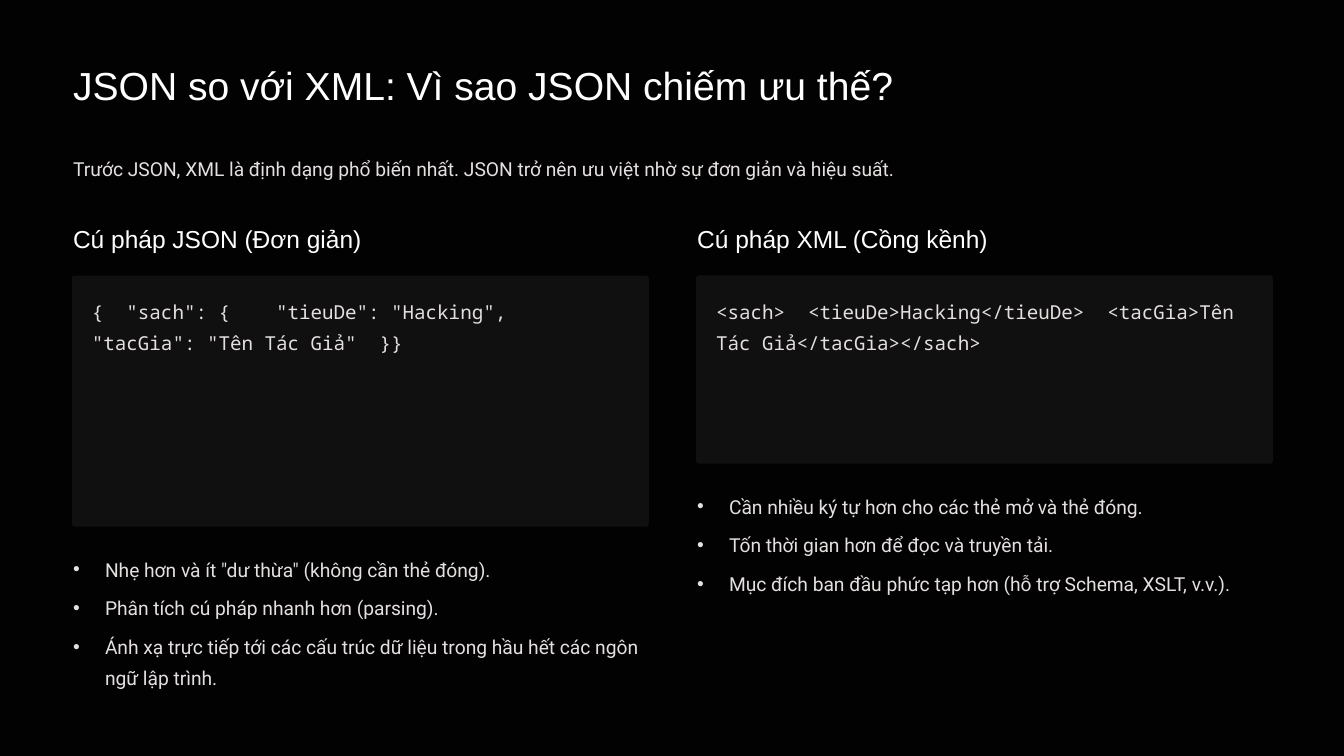
from dataclasses import dataclass

from lxml.etree import SubElement
from pptx import Presentation
from pptx.dml.color import RGBColor
from pptx.enum.shapes import MSO_SHAPE
from pptx.enum.text import MSO_ANCHOR, MSO_AUTO_SIZE, PP_ALIGN
from pptx.oxml.ns import qn
from pptx.util import Inches, Pt

COLORS = {"background": "020202", "panel": "101010", "heading": "FFFFFF", "text": "E5E0DF"}

# Grid of 16 columns by 9 rows
SLIDE_WIDTH, SLIDE_HEIGHT = Inches(16), Inches(9)
COLUMN, ROW = SLIDE_WIDTH / 16, SLIDE_HEIGHT / 9
LEFT, FULL_WIDTH = 0.87, 14.26
TOPIC_WIDTH, TOPIC_STEP = 6.84, 7.43
PANEL_TOP, PANEL_OUTSET, CORNER = 3.28, 0.015, 0.036
BULLET_INDENT, BULLET_GAP = 0.38, 0.27


@dataclass(frozen=True)
class TextStyle:
    font: str
    size: float
    color: str
    line: float


@dataclass(frozen=True)
class Topic:
    heading: str
    code: str
    panel_rows: float
    bullet_rows: float
    bullets: tuple[str, ...]


TITLE = TextStyle("Arial", 33.5, "heading", 42)
HEADING = TextStyle("Arial", 21, "heading", 26.5)
BODY = TextStyle("Roboto", 16.5, "text", 27)
CODE = TextStyle("Noto Sans Mono", 16.5, "text", 27)

TOPICS = (
    Topic(
        "Cú pháp JSON (Đơn giản)",
        '{  "sach": {    "tieuDe": "Hacking",    "tacGia": "Tên Tác Giả"  }}',
        2.99,
        1.67,
        (
            'Nhẹ hơn và ít "dư thừa" (không cần thẻ đóng).',
            "Phân tích cú pháp nhanh hơn (parsing).",
            "Ánh xạ trực tiếp tới các cấu trúc dữ liệu trong hầu hết các ngôn ngữ lập trình.",
        ),
    ),
    Topic(
        "Cú pháp XML (Cồng kềnh)",
        "<sach>  <tieuDe>Hacking</tieuDe>  <tacGia>Tên Tác Giả</tacGia></sach>",
        2.24,
        1.3,
        (
            "Cần nhiều ký tự hơn cho các thẻ mở và thẻ đóng.",
            "Tốn thời gian hơn để đọc và truyền tải.",
            "Mục đích ban đầu phức tạp hơn (hỗ trợ Schema, XSLT, v.v.).",
        ),
    ),
)


def apply(target, values: dict) -> None:
    for name, value in values.items():
        setattr(target, name, value)


def grid_box(left: float, top: float, width: float, height: float) -> dict:
    return {
        "left": round(left * COLUMN),
        "top": round(top * ROW),
        "width": round(width * COLUMN),
        "height": round(height * ROW),
    }


def add_bullet(paragraph) -> None:
    properties = paragraph._p.get_or_add_pPr()
    indent = round(BULLET_INDENT * COLUMN)
    properties.set("marL", str(indent))
    properties.set("indent", str(-indent))
    SubElement(properties, qn("a:buChar"), char="•")


def write(shape, lines: tuple[str, ...], style: TextStyle, bulleted: bool = False,
          inset: tuple[float, float] = (0, 0)) -> None:
    frame = shape.text_frame
    side, edge = round(inset[0] * COLUMN), round(inset[1] * ROW)
    apply(frame, {
        "word_wrap": True, "auto_size": MSO_AUTO_SIZE.NONE, "vertical_anchor": MSO_ANCHOR.TOP,
        "margin_left": side, "margin_right": side, "margin_top": edge, "margin_bottom": edge,
    })
    for index, line in enumerate(lines):
        paragraph = frame.add_paragraph() if index else frame.paragraphs[0]
        if bulleted:
            add_bullet(paragraph)
        apply(paragraph, {
            "alignment": PP_ALIGN.LEFT,
            "line_spacing": Pt(style.line),
            "space_before": Pt(6 if index else 0),
        })
        run = paragraph.add_run()
        run.text = line
        apply(run.font, {"name": style.font, "size": Pt(style.size)})
        run.font.color.rgb = RGBColor.from_string(COLORS[style.color])


def add_text(slide, box: dict, text: str, style: TextStyle) -> None:
    write(slide.shapes.add_textbox(**box), (text,), style)


def add_panel(slide, box: dict, code: str) -> None:
    panel = slide.shapes.add_shape(MSO_SHAPE.ROUNDED_RECTANGLE, **box)
    panel.adjustments[0] = CORNER * ROW / box["height"]
    panel.shadow.inherit = False
    panel.fill.solid()
    panel.fill.fore_color.rgb = RGBColor.from_string(COLORS["panel"])
    panel.line.fill.background()
    write(panel, (code,), CODE, inset=(0.23, 0.18))


def add_topic(slide, topic: Topic, left: float, placeholder) -> None:
    add_text(slide, grid_box(left, 2.65, TOPIC_WIDTH, 0.37), topic.heading, HEADING)
    add_panel(slide, grid_box(left - PANEL_OUTSET, PANEL_TOP, TOPIC_WIDTH + 2 * PANEL_OUTSET,
                              topic.panel_rows), topic.code)
    bullet_top = PANEL_TOP + topic.panel_rows + BULLET_GAP
    apply(placeholder, grid_box(left, bullet_top, TOPIC_WIDTH, topic.bullet_rows))
    write(placeholder, topic.bullets, BODY, bulleted=True)


def main() -> None:
    presentation = Presentation()
    apply(presentation, {"slide_width": SLIDE_WIDTH, "slide_height": SLIDE_HEIGHT})
    slide = presentation.slides.add_slide(presentation.slide_layouts.get_by_name("Two Content"))
    slide.background.fill.solid()
    slide.background.fill.fore_color.rgb = RGBColor.from_string(COLORS["background"])

    # Title and introduction
    title, *bodies = slide.placeholders
    apply(title, grid_box(LEFT, 0.71, FULL_WIDTH, 0.59))
    write(title, ("JSON so với XML: Vì sao JSON chiếm ưu thế?",), TITLE)
    add_text(
        slide,
        grid_box(LEFT, 1.77, FULL_WIDTH, 0.38),
        "Trước JSON, XML là định dạng phổ biến nhất. "
        "JSON trở nên ưu việt nhờ sự đơn giản và hiệu suất.",
        BODY,
    )

    # The two formats side by side
    for index, (topic, body) in enumerate(zip(TOPICS, bodies)):
        add_topic(slide, topic, LEFT + index * TOPIC_STEP, body)

    presentation.save("out.pptx")


if __name__ == "__main__":
    main()
